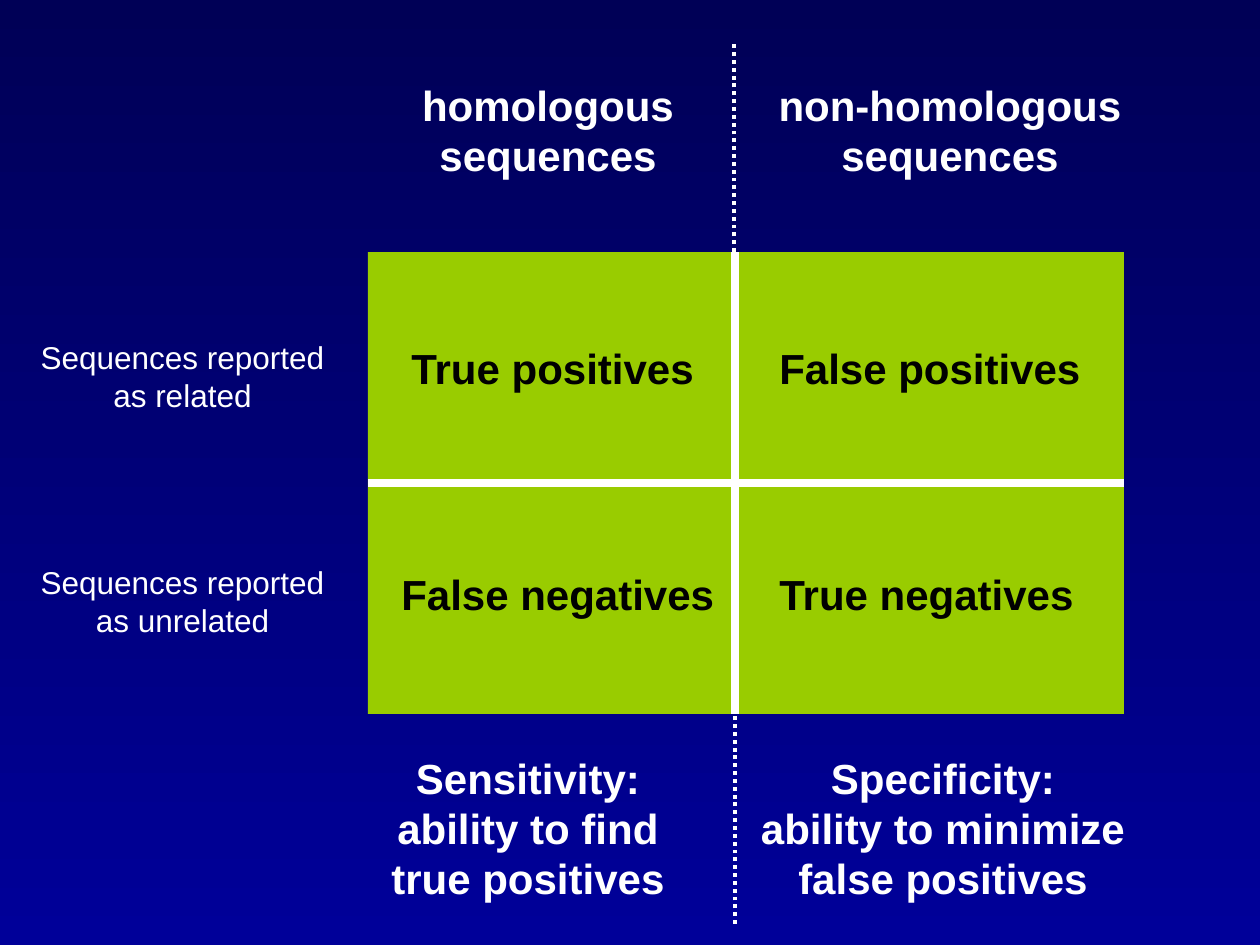
"""Build a slide showing sensitivity and specificity in a two-by-two grid."""
import pptx
import pptx.dml.color
import pptx.enum.dml
import pptx.enum.shapes
import pptx.enum.text
import pptx.util
from lxml import etree

PX = 914400 / 126
COLORS = {"top": "000056", "bottom": "000099", "grid": "99CC00",
          "light": "FFFFFF", "dark": "000000"}
GRID = (368, 252, 756, 462)
MIDDLE_X, MIDDLE_Y = 735, 483
GRID_RIGHT, GRID_BOTTOM = GRID[0] + GRID[2], GRID[1] + GRID[3]

STYLES = {
    "cell": {"size": 24, "bold": True, "color": "dark", "align": "LEFT"},
    "side": {"size": 18, "bold": False, "color": "light", "align": "CENTER"},
    "heading": {"size": 24, "bold": True, "color": "light", "align": "CENTER"},
}
LABELS = [
    ("cell", (399, 336, 312, 63), "True positives"),
    ("cell", (767, 336, 328, 63), "False positives"),
    ("cell", (389, 562, 342, 63), "False negatives"),
    ("cell", (767, 562, 323, 63), "True negatives"),
    ("side", (26, 332, 313, 88), "Sequences reported\nas related"),
    ("side", (26, 557, 313, 88), "Sequences reported\nas unrelated"),
    ("heading", (407, 73, 282, 113), "homologous\nsequences"),
    ("heading", (764, 73, 372, 113), "non-homologous\nsequences"),
    ("heading", (376, 746, 304, 164), "Sensitivity:\nability to find\ntrue positives"),
    ("heading", (745, 746, 396, 164), "Specificity:\nability to minimize\nfalse positives"),
]
DOTTED = pptx.enum.dml.MSO_LINE.ROUND_DOT
LINES = [
    ((GRID[0], MIDDLE_Y), (GRID_RIGHT, MIDDLE_Y), 4.5, None),
    ((MIDDLE_X, GRID[1]), (MIDDLE_X, GRID_BOTTOM), 4.5, None),
    ((MIDDLE_X - 1, GRID[1]), (MIDDLE_X - 1, 42), 2.25, DOTTED),
    ((MIDDLE_X, 924), (MIDDLE_X, GRID_BOTTOM), 2.25, DOTTED),
]


def emu(*lengths):
    return [round(length * PX) for length in lengths]


def color(name):
    return pptx.dml.color.RGBColor.from_string(COLORS[name])


def paint_background(page):
    fill = page.background.fill
    fill.gradient()
    fill.gradient_angle = 270
    for stop, position, name in zip(fill.gradient_stops, (0, 1), ("top", "bottom")):
        stop.position = position
        stop.color.rgb = color(name)


def add_grid(page):
    grid = page.shapes.add_shape(pptx.enum.shapes.MSO_SHAPE.RECTANGLE, *emu(*GRID))
    grid.shadow.inherit = False
    grid.fill.solid()
    grid.fill.fore_color.rgb = color("grid")
    grid.line.fill.background()


def add_line(page, start, end, width, dash):
    line = page.shapes.add_connector(
        pptx.enum.shapes.MSO_CONNECTOR.STRAIGHT, *emu(*start, *end))
    line.line.color.rgb = color("light")
    line.line.width = pptx.util.Pt(width)
    if dash:
        line.line.dash_style = dash
    properties = line.element.spPr
    etree.SubElement(properties, pptx.oxml.ns.qn("a:effectLst"))


def add_label(page, style_name, place, text):
    style = STYLES[style_name]
    box = page.shapes.add_textbox(*emu(*place))
    frame = box.text_frame
    frame.word_wrap = False
    frame.text = text
    for para in frame.paragraphs:
        para.alignment = getattr(pptx.enum.text.PP_ALIGN, style["align"])
        para.line_spacing = pptx.util.Pt(style["size"] * 1.2)
        for span in para.runs:
            span.font.name = "Arial"
            span.font.size = pptx.util.Pt(style["size"])
            span.font.bold = style["bold"]
            span.font.color.rgb = color(style["color"])


def main():
    deck = pptx.Presentation()
    deck.slide_width, deck.slide_height = emu(1260, 945)
    page = deck.slides.add_slide(deck.slide_layouts[6])
    paint_background(page)
    add_grid(page)
    for line in LINES:
        add_line(page, *line)
    for label in LABELS:
        add_label(page, *label)
    deck.save("out.pptx")


if __name__ == "__main__":
    main()
